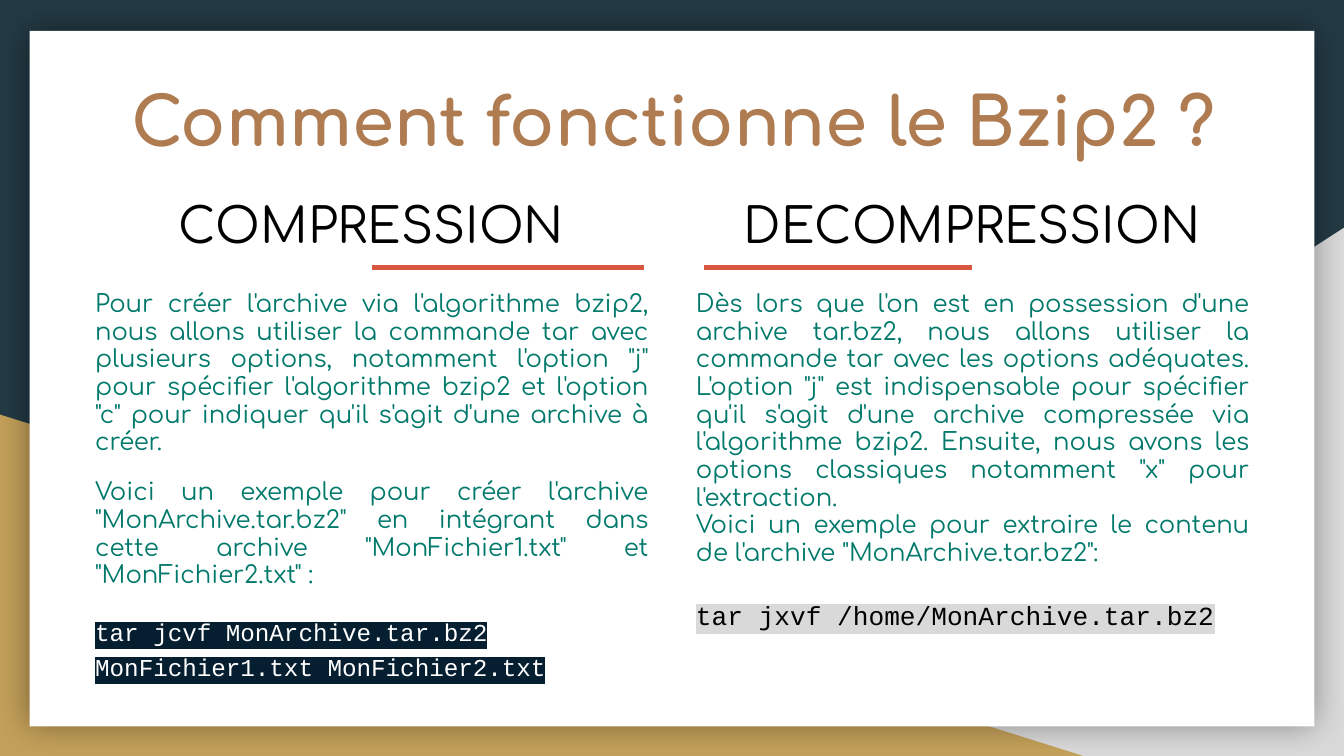
from dataclasses import dataclass

from lxml.etree import SubElement
from pptx import Presentation
from pptx.dml.color import RGBColor
from pptx.enum.shapes import MSO_CONNECTOR, MSO_SHAPE
from pptx.enum.text import MSO_ANCHOR, MSO_AUTO_SIZE, PP_ALIGN
from pptx.oxml.ns import qn
from pptx.util import Inches, Pt


@dataclass(frozen=True)
class Theme:
    background: str = "233A44"
    grey: str = "D9D9D9"
    gold: str = "C4A15A"
    white: str = "FFFFFF"
    black: str = "000000"
    title: str = "AF7B51"
    body: str = "00796B"
    rule: str = "D9563F"
    terminal: str = "051E30"
    font: str = "Comfortaa"
    code_font: str = "Courier New"
    title_size: int = 36
    heading_size: int = 26
    body_size: int = 13
    code_size: int = 14


THEME = Theme()
WIDTH = 10
HEIGHT = WIDTH * 9 / 16
COLUMN_LEFTS = (0.61, 5.08)
COLUMN_WIDTH = 4.31


def color(value):
    return RGBColor.from_string(value)


def add_panel(slide, kind, box, fill):
    shape = slide.shapes.add_shape(kind, *map(Inches, box))
    shape.shadow.inherit = False
    shape.fill.solid()
    shape.fill.fore_color.rgb = color(fill)
    shape.line.fill.background()
    return shape


def add_run(paragraph, text, size, ink, font=THEME.font, bold=False, highlight=None):
    run = paragraph.add_run()
    run.text = text
    run.font.size = Pt(size)
    run.font.bold = bold
    run.font.color.rgb = color(ink)
    if highlight:
        mark = SubElement(run.font._element, qn("a:highlight"))
        SubElement(mark, qn("a:srgbClr"), val=highlight)
    run.font.name = font


def format_frame(frame):
    frame.word_wrap = True
    frame.auto_size = MSO_AUTO_SIZE.NONE
    frame.vertical_anchor = MSO_ANCHOR.TOP
    frame.margin_left = frame.margin_right = Inches(0.1)
    frame.margin_top = frame.margin_bottom = Inches(0.1)


def add_text_frame(slide, box):
    frame = slide.shapes.add_textbox(*map(Inches, box)).text_frame
    format_frame(frame)
    return frame


def format_paragraph(paragraph, alignment, spacing=1.0, before=0, after=0):
    paragraph.alignment = alignment
    paragraph.line_spacing = spacing
    paragraph.space_before = Pt(before)
    paragraph.space_after = Pt(after)


def add_backdrop(slide, box):
    left, top, width, height = box
    slide.background.fill.solid()
    slide.background.fill.fore_color.rgb = color(THEME.background)

    # Corner triangles
    grey = add_panel(slide, MSO_SHAPE.RIGHT_TRIANGLE,
                     (left + width - 6.08, top + height - 3.93, 6.08, 3.93), THEME.grey)
    grey._element.spPr.find(qn("a:xfrm")).set("flipH", "1")
    add_panel(slide, MSO_SHAPE.RIGHT_TRIANGLE,
              (left, top + height - 2.54, 8.06, 2.54), THEME.gold)

    # White card with a soft shadow
    card = add_panel(slide, MSO_SHAPE.RECTANGLE,
                     (left + 0.22, top + 0.23, width - 0.44, height - 0.45), THEME.white)
    effects = card._element.spPr.find(qn("a:effectLst"))
    shadow = SubElement(effects, qn("a:outerShdw"), blurRad=str(Pt(18)),
                        dist="0", dir="0", algn="ctr", rotWithShape="0")
    shade = SubElement(shadow, qn("a:srgbClr"), val=THEME.black)
    SubElement(shade, qn("a:alpha"), val="40000")


def add_title(slide, box, text):
    title = slide.shapes.title
    # Bring the placeholder in front of the backdrop
    slide.shapes._spTree.append(title._element)
    title.left, title.top, title.width, title.height = map(Inches, box)
    format_frame(title.text_frame)
    paragraph = title.text_frame.paragraphs[0]
    format_paragraph(paragraph, PP_ALIGN.CENTER)
    add_run(paragraph, text, THEME.title_size, THEME.title, bold=True)


def add_column(slide, box, heading, texts, gap):
    """Place a heading and its body; return the body's paragraph for the command."""
    left, top, width, height = box
    paragraph = add_text_frame(slide, (left, top, width, 0.64)).paragraphs[0]
    format_paragraph(paragraph, PP_ALIGN.CENTER)
    add_run(paragraph, heading, THEME.heading_size, THEME.black)

    frame = add_text_frame(slide, (left, top + 0.71, width, height - 0.71))
    for index, text in enumerate(texts):
        paragraph = frame.add_paragraph() if index else frame.paragraphs[0]
        format_paragraph(paragraph, PP_ALIGN.JUSTIFY, 0.95, gap if index else 0)
        add_run(paragraph, text, THEME.body_size, THEME.body)
    return frame.add_paragraph()


def add_rule(slide, start, end, y, ink, weight):
    rule = slide.shapes.add_connector(MSO_CONNECTOR.STRAIGHT, Inches(start), Inches(y),
                                      Inches(end), Inches(y))
    rule.line.color.rgb = color(ink)
    rule.line.width = Pt(weight)
    SubElement(rule._element.spPr, qn("a:effectLst"))


def main():
    presentation = Presentation()
    presentation.slide_width, presentation.slide_height = Inches(WIDTH), Inches(HEIGHT)
    slide = presentation.slides.add_slide(presentation.slide_layouts[5])

    add_backdrop(slide, (0, 0, WIDTH, HEIGHT))
    add_title(slide, (0.62, 0.49, 8.78, 0.72), "Comment fonctionne le Bzip2 ?")
    left_box, right_box = [(left, 1.35, COLUMN_WIDTH, 3.75) for left in COLUMN_LEFTS]

    # Compression
    command = add_column(slide, left_box, "COMPRESSION", [
        "Pour créer l'archive via l'algorithme bzip2, nous allons utiliser la commande "
        "tar avec plusieurs options, notamment l'option \"j\" pour spécifier l'algorithme "
        "bzip2 et l'option \"c\" pour indiquer qu'il s'agit d'une archive à créer.",
        "Voici un exemple pour créer l'archive \"MonArchive.tar.bz2\" en intégrant dans "
        "cette archive \"MonFichier1.txt\" et \"MonFichier2.txt\" :",
    ], gap=12)
    format_paragraph(command, PP_ALIGN.LEFT, 1.2, before=12, after=15)
    add_run(command, "tar jcvf MonArchive.tar.bz2 MonFichier1.txt MonFichier2.txt",
            THEME.body_size, THEME.white, THEME.code_font, highlight=THEME.terminal)

    # Decompression
    command = add_column(slide, right_box, "DECOMPRESSION", [
        "Dès lors que l'on est en possession d'une archive tar.bz2, nous allons utiliser "
        "la commande tar avec les options adéquates. L'option \"j\" est indispensable pour "
        "spécifier qu'il s'agit d'une archive compressée via l'algorithme bzip2. Ensuite, "
        "nous avons les options classiques notamment \"x\" pour l'extraction.",
        "Voici un exemple pour extraire le contenu de l'archive \"MonArchive.tar.bz2\":",
    ], gap=0)
    format_paragraph(command, PP_ALIGN.JUSTIFY, 1.15, before=15)
    add_run(command, "tar jxvf /home/MonArchive.tar.bz2",
            THEME.code_size, THEME.black, THEME.code_font, highlight=THEME.grey)

    # Red rule between the column centres, broken by a white one
    centers = [left + COLUMN_WIDTH / 2 for left in COLUMN_LEFTS]
    add_rule(slide, *centers, 1.99, THEME.rule, 2.25)
    add_rule(slide, 4.79, 5.24, 2, THEME.white, 6)

    presentation.save("out.pptx")


if __name__ == "__main__":
    main()
